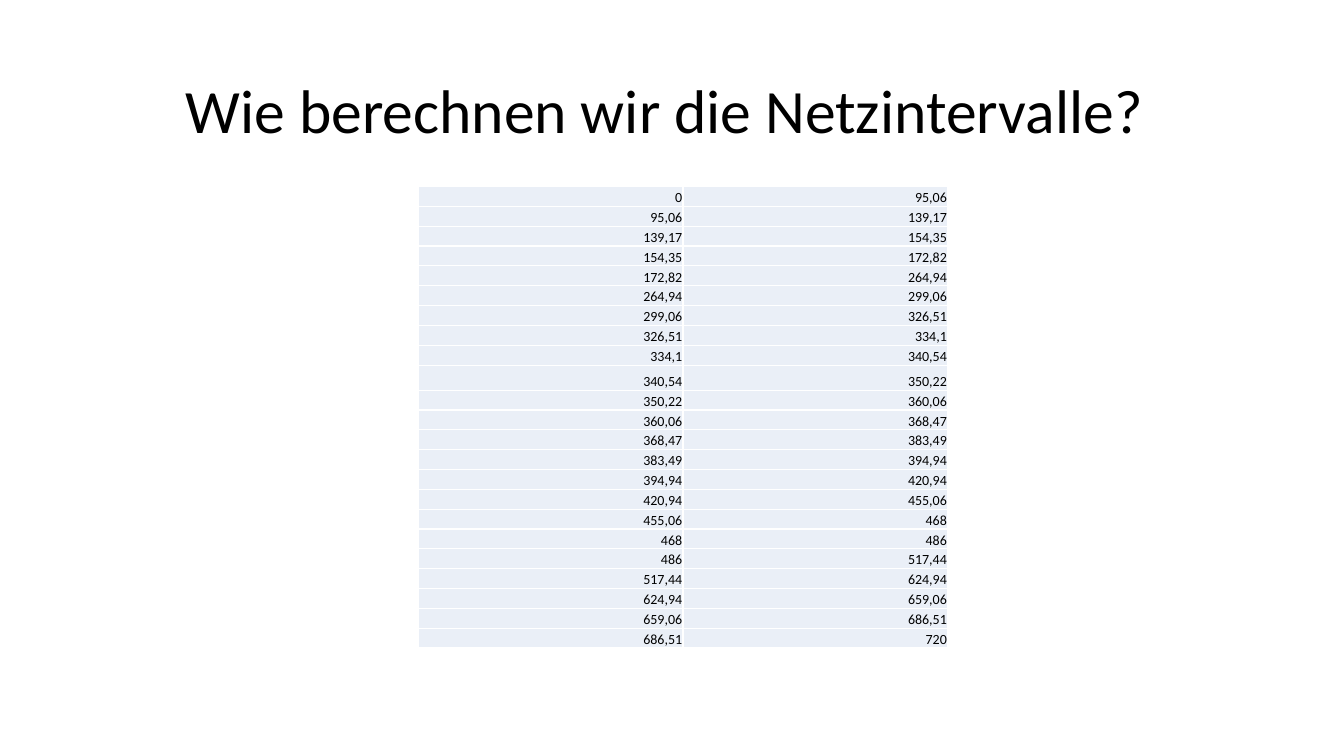
from dataclasses import dataclass
from itertools import pairwise

from lxml.etree import SubElement
from pptx import Presentation
from pptx.dml.color import RGBColor as Rgb
from pptx.enum.text import MSO_ANCHOR as Anchor, MSO_AUTO_SIZE as AutoSize, PP_ALIGN as Align
from pptx.oxml.ns import qn
from pptx.util import Cm, Pt


@dataclass(frozen=True)
class Theme:
    font: str = "Calibri"
    ink: str = "000000"
    cell_fill: str = "EAEFF7"
    grid: str = "FFFFFF"
    title_size: int = 44
    cell_size: int = 10
    grid_width: int = 1


class IntervalSlide:
    def __init__(self, deck, theme):
        self.theme = theme
        self.slide = deck.slides.add_slide(deck.slide_layouts[5])

    def add_words(self, paragraph, words, size, align):
        paragraph.alignment = align
        run = paragraph.add_run()
        run.text = words
        run.font.name = self.theme.font
        run.font.size = Pt(size)
        run.font.color.rgb = Rgb.from_string(self.theme.ink)

    def title(self, words, left, top, width, height):
        heading = self.slide.shapes.title
        heading.left, heading.top = Cm(left), Cm(top)
        heading.width, heading.height = Cm(width), Cm(height)
        frame = heading.text_frame
        frame.word_wrap = True
        frame.auto_size = AutoSize.NONE
        frame.vertical_anchor = Anchor.MIDDLE
        frame.paragraphs[0].line_spacing = 0.9
        self.add_words(frame.paragraphs[0], words, self.theme.title_size, Align.CENTER)

    def table(self, rows, left, top, width, heights):
        columns = len(rows[0])
        intervals = self.slide.shapes.add_table(
            len(rows), columns, Cm(left), Cm(top), Cm(width), Cm(sum(heights))
        ).table
        intervals.first_row = False
        intervals.horz_banding = False
        for column in intervals.columns:
            column.width = Cm(width / columns)
        for row, height, bounds in zip(intervals.rows, heights, rows):
            row.height = Cm(height)
            for cell, bound in zip(row.cells, bounds):
                self.cell(cell, bound)

    def cell(self, cell, words):
        cell.margin_left = cell.margin_right = cell.margin_top = Cm(0.02)
        cell.margin_bottom = Cm(0)
        cell.vertical_anchor = Anchor.BOTTOM
        self.borders(cell)
        cell.fill.solid()
        cell.fill.fore_color.rgb = Rgb.from_string(self.theme.cell_fill)
        self.add_words(cell.text_frame.paragraphs[0], words, self.theme.cell_size, Align.RIGHT)

    def borders(self, cell):
        properties = cell._tc.get_or_add_tcPr()
        for side in ("a:lnL", "a:lnR", "a:lnT", "a:lnB"):
            line = SubElement(properties, qn(side), w=str(Pt(self.theme.grid_width)))
            fill = SubElement(line, qn("a:solidFill"))
            SubElement(fill, qn("a:srgbClr"), val=self.theme.grid)


def main():
    deck = Presentation()
    deck.slide_width, deck.slide_height = Cm(33.87), Cm(19.05)

    bounds = (
        "0 95,06 139,17 154,35 172,82 264,94 299,06 326,51 334,1 340,54 350,22 360,06 "
        "368,47 383,49 394,94 420,94 455,06 468 486 517,44 624,94 659,06 686,51 720"
    ).split()
    intervals = list(pairwise(bounds))
    heights = [0.63 if start == "340,54" else 0.5 for start, _ in intervals]

    page = IntervalSlide(deck, Theme())
    page.title("Wie berechnen wir die Netzintervalle? ", 2.33, 1.01, 29.21, 3.68)
    page.table(intervals, 10.54, 4.7, 13.34, heights)
    deck.save("out.pptx")


if __name__ == "__main__":
    main()
